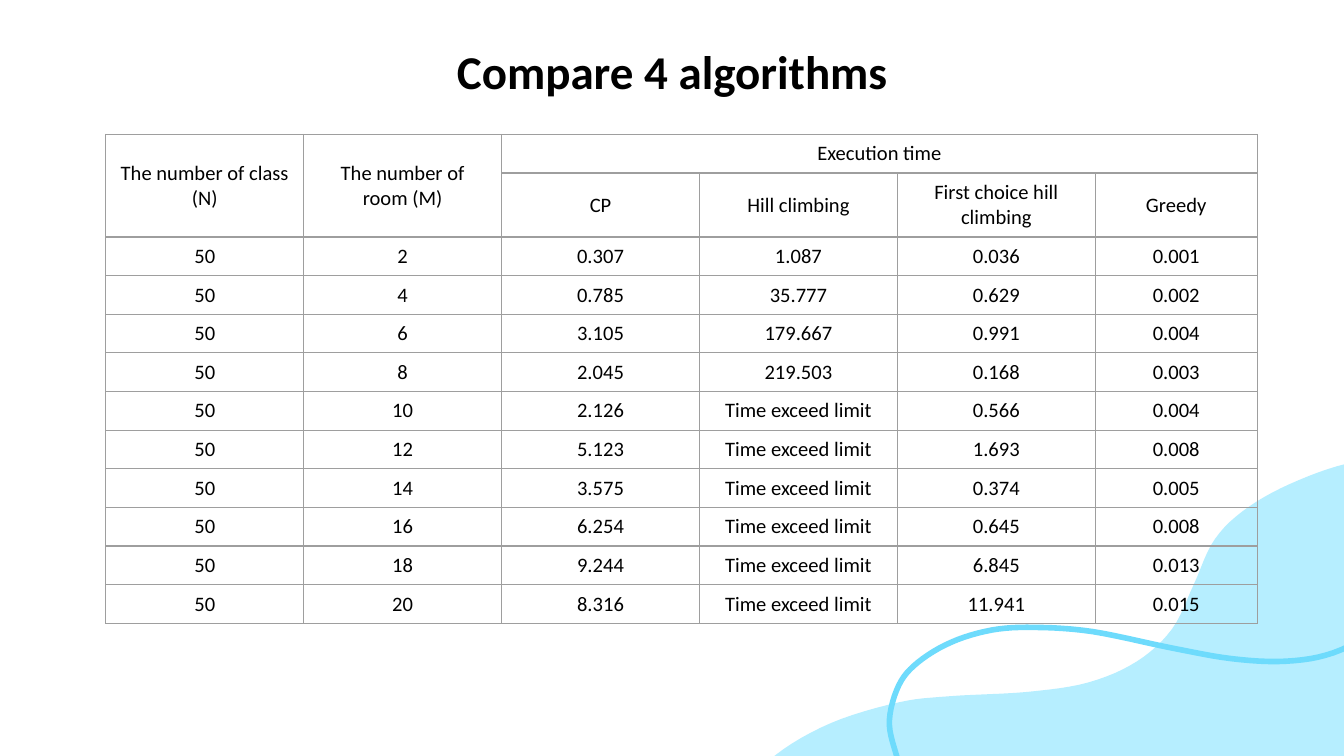
from lxml.etree import SubElement
from pptx import Presentation
from pptx.dml.color import RGBColor
from pptx.enum.text import MSO_ANCHOR, PP_ALIGN
from pptx.oxml.ns import qn
from pptx.util import Cm, Pt

BLACK = RGBColor(0x00, 0x00, 0x00)
GRID_GREY = RGBColor(0x9E, 0x9E, 0x9E)
PALE_BLUE = RGBColor(0xB6, 0xEE, 0xFF)
SKY_BLUE = RGBColor(0x6E, 0xDB, 0xFC)

TITLE = "Compare 4 algorithms"
TITLE_FONT = {"name": "Calibri", "size": Pt(25.2), "bold": True}
CELL_FONT = {"name": "Calibri", "size": Pt(11), "bold": False}

CLASSES = "50"
LIMIT = "Time exceed limit"
HEADERS = [
    ["The number of class (N)", "The number of room (M)", "Execution time", "", "", ""],
    ["", "", "CP", "Hill climbing", "First choice hill climbing", "Greedy"],
]
MERGES = [((0, 0), (1, 0)), ((0, 1), (1, 1)), ((0, 2), (0, 5))]
# rooms, CP, hill climbing, first choice hill climbing, greedy
RESULTS = [
    ["2", "0.307", "1.087", "0.036", "0.001"],
    ["4", "0.785", "35.777", "0.629", "0.002"],
    ["6", "3.105", "179.667", "0.991", "0.004"],
    ["8", "2.045", "219.503", "0.168", "0.003"],
    ["10", "2.126", LIMIT, "0.566", "0.004"],
    ["12", "5.123", LIMIT, "1.693", "0.008"],
    ["14", "3.575", LIMIT, "0.374", "0.005"],
    ["16", "6.254", LIMIT, "0.645", "0.008"],
    ["18", "9.244", LIMIT, "6.845", "0.013"],
    ["20", "8.316", LIMIT, "11.941", "0.015"],
]
COLUMN_WIDTHS = [3.74] * 5 + [3.06]
ROW_HEIGHTS = [0.73, 1.21] + [0.73] * len(RESULTS)

# Anchor points in centimetres
WAVE_EDGE = [
    (14, 17.07), (13.69, 16.08), (14, 14.99), (14.66, 14.27), (15.7, 13.67),
    (16.97, 13.28), (17.96, 13.16), (19.41, 13.08), (20.57, 12.9), (21.49, 12.5),
    (22.15, 11.89), (22.56, 11.05), (22.96, 10.19), (23.6, 9.58), (24.56, 9.07),
    (25.7, 8.71), (27.41, 8.51), (28.68, 8.61), (29.67, 8.86), (30.2, 9.53),
    (30.12, 10.46), (29.97, 11.79),
]
WAVE_CORNER = (29.97, 17.04)
RIBBON = [
    (17.98, 16.69), (17.98, 16.38), (17.6, 15.62), (17.15, 14.78), (16.92, 14.2),
    (16.81, 13.61), (16.99, 12.95), (17.35, 12.52), (17.98, 12.14), (18.75, 11.91),
    (19.56, 11.86), (20.65, 11.94), (22.1, 12.24), (23.27, 12.45), (24.31, 12.5),
    (25.2, 12.34), (26.04, 11.89), (26.52, 11.33), (26.7, 10.87),
]


def smooth(anchors, steps=6):
    """Return points on a Catmull-Rom curve through the anchors."""
    padded = [anchors[0], *anchors, anchors[-1]]
    points = [anchors[0]]
    for quad in zip(padded, padded[1:], padded[2:], padded[3:]):
        for step in range(1, steps + 1):
            t = step / steps
            points.append(tuple(
                b + t * (c - a) / 2
                + t**2 * (2 * a - 5 * b + 4 * c - d) / 2
                + t**3 * (3 * b - a - 3 * c + d) / 2
                for a, b, c, d in zip(*quad)
            ))
    return points


def add_outline(page, points, closed):
    start, *others = [(Cm(x), Cm(y)) for x, y in points]
    builder = page.shapes.build_freeform(*start)
    builder.add_line_segments(others, close=closed)
    shape = builder.convert_to_shape()
    shape.shadow.inherit = False
    return shape


def write(frame, text, font_format):
    para = frame.paragraphs[0]
    para.alignment = PP_ALIGN.CENTER
    span = para.add_run()
    span.text = text
    for name, value in font_format.items():
        setattr(span.font, name, value)
    span.font.color.rgb = BLACK


def add_borders(cell):
    properties = cell._tc.get_or_add_tcPr()
    for position, side in enumerate(("a:lnL", "a:lnR", "a:lnT", "a:lnB")):
        line = SubElement(properties, qn(side), w=str(Pt(0.75)))
        fill = SubElement(line, qn("a:solidFill"))
        SubElement(fill, qn("a:srgbClr"), val=str(GRID_GREY))
        properties.insert(position, line)


def add_results_table(page):
    rows = HEADERS + [[CLASSES, *result] for result in RESULTS]
    table = page.shapes.add_table(
        len(rows), len(COLUMN_WIDTHS), Cm(2), Cm(2.54),
        Cm(sum(COLUMN_WIDTHS)), Cm(sum(ROW_HEIGHTS)),
    ).table
    table.first_row = table.horz_banding = False
    for column, width in zip(table.columns, COLUMN_WIDTHS):
        column.width = Cm(width)
    for row, height in zip(table.rows, ROW_HEIGHTS):
        row.height = Cm(height)
    for first, last in MERGES:
        table.cell(*first).merge(table.cell(*last))
    for r, texts in enumerate(rows):
        for c, text in enumerate(texts):
            cell = table.cell(r, c)
            cell.fill.background()
            cell.vertical_anchor = MSO_ANCHOR.MIDDLE
            add_borders(cell)
            if text:
                write(cell.text_frame, text, CELL_FONT)


def main():
    deck = Presentation()
    deck.slide_width, deck.slide_height = Cm(25.4), Cm(14.29)
    page = deck.slides.add_slide(deck.slide_layouts[6])

    wave = add_outline(page, smooth(WAVE_EDGE) + [WAVE_CORNER], closed=True)
    wave.fill.solid()
    wave.fill.fore_color.rgb = PALE_BLUE
    wave.line.fill.background()

    ribbon = add_outline(page, smooth(RIBBON), closed=False)
    ribbon.fill.background()
    ribbon.line.color.rgb = SKY_BLUE
    ribbon.line.width = Pt(3)

    frame = page.shapes.add_textbox(Cm(2), Cm(0.56), Cm(21.41), Cm(1.6)).text_frame
    frame.word_wrap = True
    for side in ("left", "right", "top", "bottom"):
        setattr(frame, f"margin_{side}", Cm(0.25))
    write(frame, TITLE, TITLE_FONT)

    add_results_table(page)
    deck.save("out.pptx")


if __name__ == "__main__":
    main()
